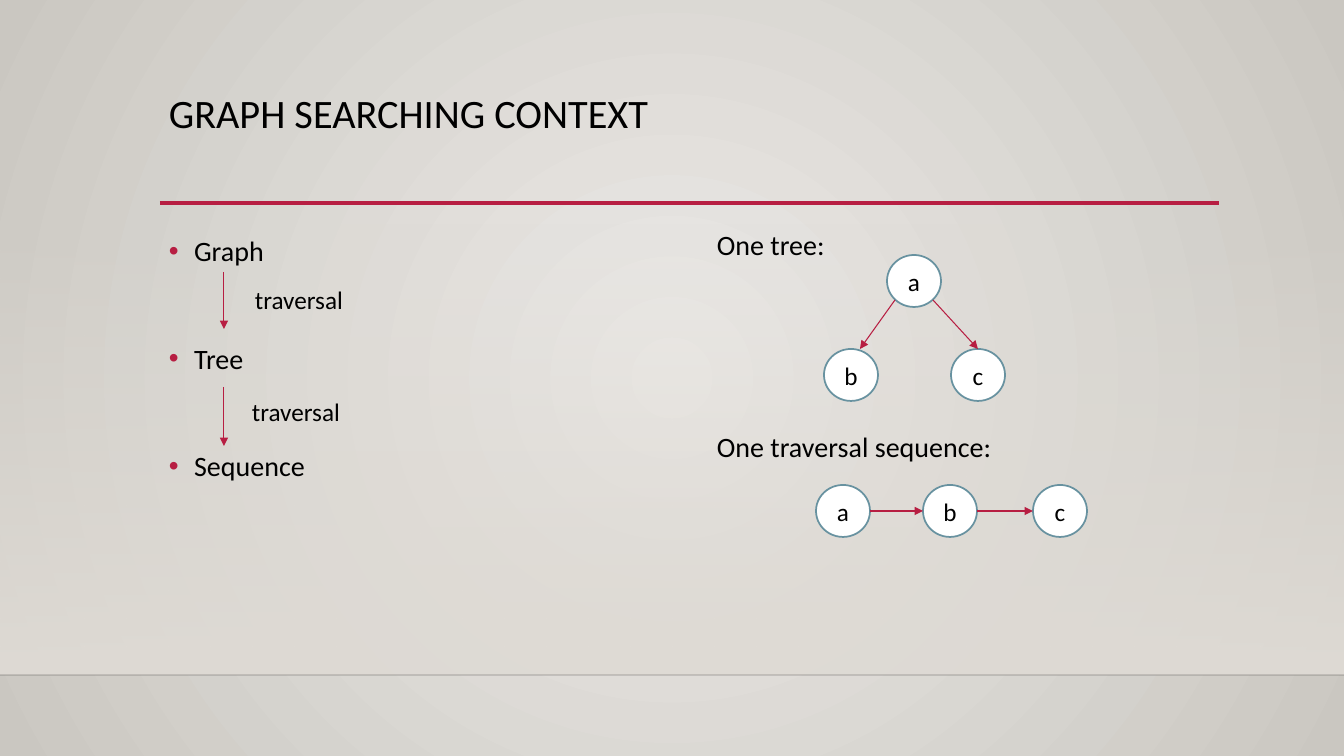
from lxml.etree import SubElement
from pptx import Presentation
from pptx.dml.color import RGBColor
from pptx.enum.shapes import MSO_CONNECTOR as Connector, MSO_SHAPE as Shape
from pptx.enum.text import MSO_ANCHOR as Anchor, PP_ALIGN as Align
from pptx.oxml.ns import qn
from pptx.util import Pt

EMU_PER_PX = 914400 / 100.8
FONT = "Calibri"
INK = "000000"
ACCENT = "B71E42"
NODE_OUTLINE = "6892A0"
NODE_FILL = "FFFFFF"
PANEL = "DFDBD5"
WIDTH, HEIGHT = 1344, 756
NODE_W, NODE_H = 54, 52


def px(*lengths):
    return [round(length * EMU_PER_PX) for length in lengths]


def rgb(value):
    return RGBColor.from_string(value)


class Canvas:
    def __init__(self, slide):
        self.slide = slide
        self.shapes = slide.shapes

    def gradient(self, fill, start, end):
        fill.gradient()
        for stop, colour in zip(fill.gradient_stops, (start, end)):
            stop.color.rgb = rgb(colour)

    def fade(self, colour_parent, percent):
        colour = colour_parent.find(qn("a:srgbClr"))
        SubElement(colour, qn("a:alpha"), val=str(percent * 1000))

    def backdrop(self, centre, edge):
        self.gradient(self.slide.background.fill, centre, edge)
        linear = next(self.slide.element.iter(qn("a:lin")))
        radial = SubElement(linear.getparent(), qn("a:path"), {"path": "circle"})
        SubElement(radial, qn("a:fillToRect"), {side: "50000" for side in "ltrb"})
        linear.getparent().remove(linear)

    def panel(self, left, top, width, height):
        panel = self.shapes.add_shape(Shape.RECTANGLE, *px(left, top, width, height))
        panel.shadow.inherit = False
        panel.line.fill.background()
        self.gradient(panel.fill, PANEL, PANEL)
        panel.fill.gradient_angle = 270
        self.fade(next(panel.element.iter(qn("a:gs"))), 0)

    def line(self, start, end, colour=ACCENT, weight=0.75, opacity=100, arrow=False):
        line = self.shapes.add_connector(Connector.STRAIGHT, *px(*start, *end))
        line.line.color.rgb = rgb(colour)
        line.line.width = Pt(weight)
        properties = line.element.spPr
        stroke = properties.find(qn("a:ln"))
        if opacity < 100:
            self.fade(stroke.find(qn("a:solidFill")), opacity)
        if arrow:
            SubElement(stroke, qn("a:tailEnd"), type="triangle")
        SubElement(properties, qn("a:effectLst"))

    def add_words(self, paragraph, wording, size):
        run = paragraph.add_run()
        run.text = wording
        run.font.name = FONT
        run.font.size = Pt(size)
        run.font.color.rgb = rgb(INK)

    def text(self, left, top, width, height, wordings, size, spacing=1.0, gap=0, bullets=False):
        frame = self.shapes.add_textbox(*px(left, top, width, height)).text_frame
        frame.word_wrap = True
        for index, wording in enumerate(wordings):
            paragraph = frame.add_paragraph() if index else frame.paragraphs[0]
            paragraph.line_spacing = spacing
            if index:
                paragraph.space_before = Pt(gap)
            if bullets:
                self.bullet(paragraph)
            self.add_words(paragraph, wording, size)

    def bullet(self, paragraph):
        properties = paragraph._p.get_or_add_pPr()
        properties.set("marL", "228600")
        properties.set("indent", "-228600")
        colour = SubElement(properties, qn("a:buClr"))
        SubElement(colour, qn("a:srgbClr"), val=ACCENT)
        SubElement(properties, qn("a:buFont"), typeface="Arial")
        SubElement(properties, qn("a:buChar"), char="•")

    def node(self, label, left, top):
        node = self.shapes.add_shape(Shape.OVAL, *px(left, top, NODE_W, NODE_H))
        node.shadow.inherit = False
        node.fill.solid()
        node.fill.fore_color.rgb = rgb(NODE_FILL)
        node.line.color.rgb = rgb(NODE_OUTLINE)
        node.line.width = Pt(1.25)
        frame = node.text_frame
        frame.margin_left = frame.margin_right = frame.margin_top = frame.margin_bottom = 0
        frame.vertical_anchor = Anchor.MIDDLE
        frame.paragraphs[0].alignment = Align.CENTER
        self.add_words(frame.paragraphs[0], label, 18)


def main():
    deck = Presentation()
    deck.slide_width, deck.slide_height = px(WIDTH, HEIGHT)
    canvas = Canvas(deck.slides.add_slide(deck.slide_layouts[6]))

    canvas.backdrop("ECEAE7", "CAC7C1")
    canvas.panel(0, 223, WIDTH, 452)
    canvas.line((0, 675), (WIDTH, 675), "000001", 1, opacity=20)
    canvas.line((160, 203), (1219, 203), weight=2.5)

    canvas.text(159, 89, 1058, 81, ["GRAPH SEARCHING CONTEXT"], 28.8, spacing=0.9)
    canvas.text(159, 222, 512, 380, ["Graph", "Tree", "Sequence"], 20,
                spacing=1.2, gap=48, bullets=True)
    canvas.text(707, 223, 512, 379, ["One tree:", "One traversal sequence:"], 20, gap=120)

    for arrow_top, arrow_bottom, label_left, label_top in ((272, 329, 245, 279), (387, 446, 242, 391)):
        canvas.line((224, arrow_top), (224, arrow_bottom), arrow=True)
        canvas.text(label_left, label_top, 135, 40, ["traversal"], 18)

    for label, left, top in (("a", 887, 255), ("b", 824, 349), ("c", 951, 349)):
        canvas.node(label, left, top)
    for start, end in (((895, 300), (860, 349)), ((933, 300), (978, 349))):
        canvas.line(start, end, arrow=True)

    sequence_top = 485
    sequence_middle = sequence_top + NODE_H // 2
    sequence_lefts = (816, 923, 1033)
    for label, left in zip("abc", sequence_lefts):
        canvas.node(label, left, sequence_top)
    for left, next_left in zip(sequence_lefts, sequence_lefts[1:]):
        canvas.line((left + NODE_W, sequence_middle), (next_left, sequence_middle), arrow=True)

    deck.save("out.pptx")


if __name__ == "__main__":
    main()
